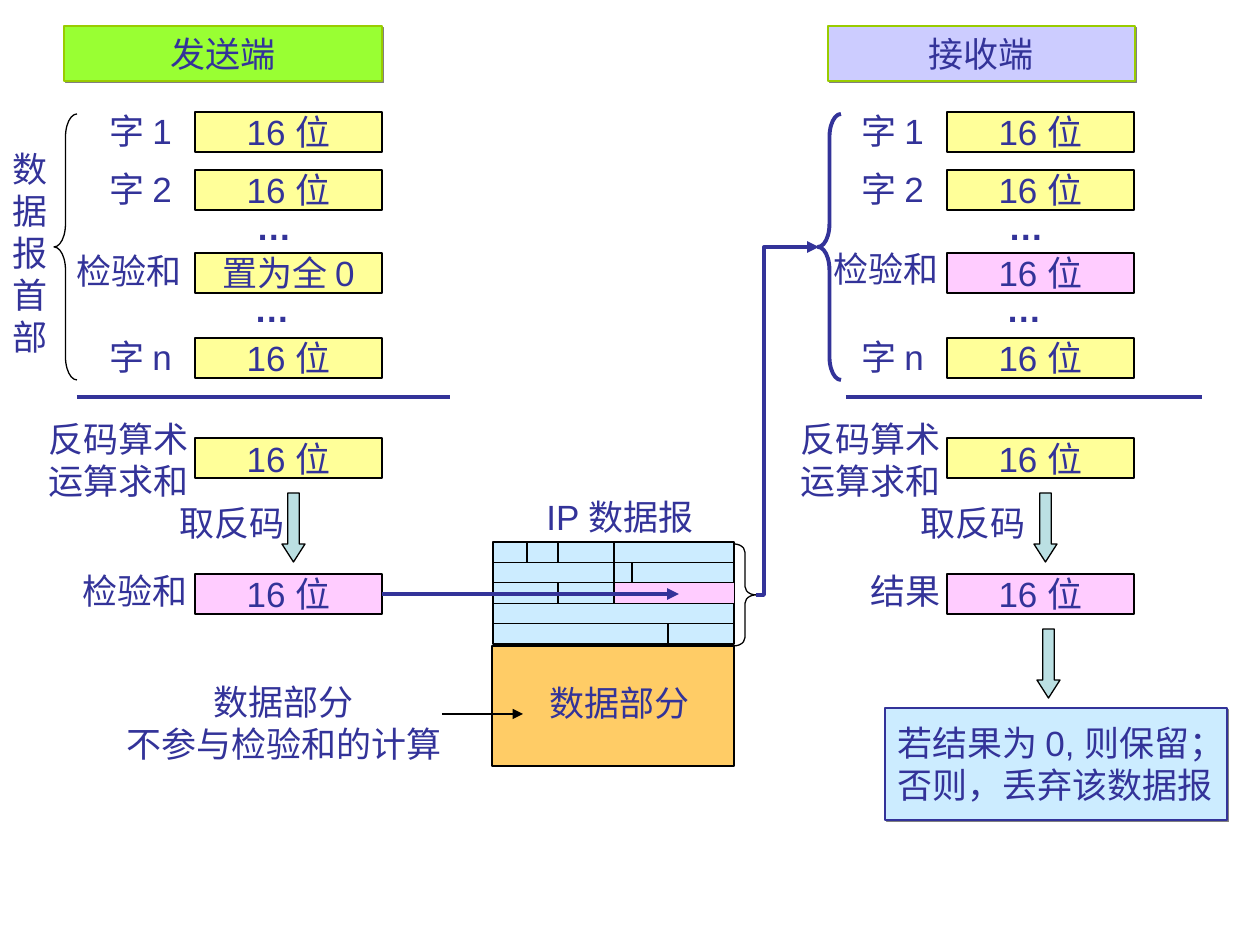
from lxml.etree import SubElement
from pptx import Presentation
from pptx.dml.color import RGBColor
from pptx.enum.shapes import MSO_CONNECTOR, MSO_SHAPE
from pptx.enum.text import MSO_ANCHOR, MSO_AUTO_SIZE, PP_ALIGN
from pptx.oxml.ns import qn
from pptx.util import Pt

SCALE = 914400 / 126
INK, BLACK = "333399", "000000"
YELLOW, PINK, SKY = "FFFF99", "FFCCFF", "CCECFF"


def px(length):
    """Turn px into EMU."""
    return round(length * SCALE)


def color(value):
    """Turn a hex string into a colour."""
    return RGBColor.from_string(value)


def write(shape, text, align=PP_ALIGN.LEFT, anchor=MSO_ANCHOR.TOP, bold=False):
    """Write the lines of text into a shape."""
    frame = shape.text_frame
    frame.word_wrap = False
    frame.vertical_anchor = anchor
    frame.text = text
    for paragraph in frame.paragraphs:
        paragraph.alignment = align
        paragraph.font.name = "Arial"
        paragraph.font.size = Pt(20)
        paragraph.font.bold = bold
        paragraph.font.color.rgb = color(INK)


def add_label(slide, box, text, **style):
    """Add a text box that grows with its text."""
    label = slide.shapes.add_textbox(*map(px, box))
    write(label, text, **style)
    label.text_frame.auto_size = MSO_AUTO_SIZE.SHAPE_TO_FIT_TEXT


def add_block(slide, box, fill, line=BLACK, width=0.75, kind=MSO_SHAPE.RECTANGLE, adjustments=()):
    """Add a preset shape without a shadow; None leaves out the fill or line."""
    shape = slide.shapes.add_shape(kind, *map(px, box))
    shape.shadow.inherit = False
    for position, value in enumerate(adjustments):
        shape.adjustments[position] = value
    if fill:
        shape.fill.solid()
        shape.fill.fore_color.rgb = color(fill)
    else:
        shape.fill.background()
    if line:
        shape.line.color.rgb = color(line)
        shape.line.width = Pt(width)
    else:
        shape.line.fill.background()
    return shape


def add_shadow(shape):
    """Give a shape a hard grey shadow to the lower right."""
    effects = shape._element.spPr.find(qn("a:effectLst"))
    shadow = SubElement(effects, qn("a:outerShdw"), dist="17961", dir="2700000", algn="ctr", rotWithShape="0")
    SubElement(shadow, qn("a:srgbClr"), val="808080")


def add_arrowhead(shape):
    """Put a triangle at the end of a line."""
    SubElement(shape.line._get_or_add_ln(), qn("a:tailEnd"), type="triangle")


def add_line(slide, start, end, line=BLACK, width=0.75, arrow=False):
    """Add a straight line between two points."""
    connector = slide.shapes.add_connector(MSO_CONNECTOR.STRAIGHT, *map(px, start + end))
    connector.line.color.rgb = color(line)
    connector.line.width = Pt(width)
    SubElement(connector._element.spPr, qn("a:effectLst"))
    if arrow:
        add_arrowhead(connector)
    return connector


def add_down_arrow(slide, left, top):
    """Add a block arrow that points down."""
    add_block(slide, (left, top, 23, 69), "BBE0E3", kind=MSO_SHAPE.DOWN_ARROW, adjustments=(0.5, 0.78))


def add_column(slide, left, heading, brace, rule_left, rows, invert_left):
    """Draw one end's checksum steps from left and return its last word box."""
    title, title_left, title_width, title_fill = heading
    shape = add_block(slide, (left + title_left, 26, title_width, 55), title_fill, "99CC00")
    add_shadow(shape)
    write(shape, title, PP_ALIGN.CENTER)

    brace_left, brace_line, brace_width = brace
    add_block(slide, (left + brace_left, 114, 23, 266), None, brace_line, brace_width,
              MSO_SHAPE.LEFT_BRACE, (1, 0.5))

    for top, (label, label_left, label_top, value, fill) in zip((112, 170, 253, 338, 438, 574), rows):
        word = add_block(slide, (left + 195, top, 187, 40), fill)
        write(word, value, PP_ALIGN.CENTER, MSO_ANCHOR.MIDDLE)
        label_height = 55 + 42 * label.count("\n")
        add_label(slide, (left + label_left, label_top, 204 - label_left, label_height), label)

    for dots_left, dots_top in ((244, 199), (242, 281)):
        add_label(slide, (left + dots_left, dots_top, 60, 55), "…", bold=True)
    add_line(slide, (left + rule_left, 397), (left + 450, 397), INK, 2.25)
    add_down_arrow(slide, left + 282, 493)
    add_label(slide, (left + invert_left, 495, 132, 55), "取反码")
    return word


def column_rows(checksum, checksum_label, result):
    """List label, its left and top, value and fill of each word row."""
    word = "16 位"
    return (
        ("字 1", 97, 103, word, YELLOW),
        ("字 2", 97, 161, word, YELLOW),
        ("检验和", *checksum_label, *checksum),
        ("字 n", 97, 329, word, YELLOW),
        ("反码算术\n运算求和", 36, 411, word, YELLOW),
        (*result, 563, word, PINK),
    )


def add_datagram(slide, left, top, width, height):
    """Draw the datagram: header grid, its brace and the data part."""
    row = height / 5
    add_block(slide, (left - 1, top + 104, width + 1, 120), "FFCC66")
    add_label(slide, (left + 44, top + 133, 168, 55), "数据部分")
    add_block(slide, (left, top, width, height), SKY, width=1.5)
    add_block(slide, (left + 121, top + 2 * row, width - 121, row), PINK, None)
    add_label(slide, (left + 41, top - 53, 184, 55), "IP 数据报")
    for number in range(1, 6):
        add_line(slide, (left, top + number * row), (left + width, top + number * row))
    for offset, first, last in ((121, 0, 3), (65, 2, 3), (65, 0, 1), (34, 0, 1), (139, 1, 2), (175, 4, 5)):
        add_line(slide, (left + offset, top + first * row), (left + offset, top + last * row))
    add_block(slide, (left + width, top + 2, 22, height), None,
              kind=MSO_SHAPE.RIGHT_BRACE, adjustments=(0.38, 0.5))


def add_links(slide, checksum_box):
    """Draw the flow from sender to datagram and on to the receiver."""
    arrow = add_line(slide, (382, 594), (679, 594), INK, 2.25, arrow=True)
    arrow.begin_connect(checksum_box, 3)
    builder = slide.shapes.build_freeform(756, 595, scale=SCALE)
    builder.add_line_segments([(764, 595), (764, 247), (819, 247)], close=False)
    route = builder.convert_to_shape()
    route.shadow.inherit = False
    route.fill.background()
    route.line.color.rgb = color(INK)
    route.line.width = Pt(2.25)
    add_arrowhead(route)


def add_verdict(slide, left, top):
    """Draw the arrow to the receiver's decision."""
    add_down_arrow(slide, left + 152, top)
    box = add_block(slide, (left, top + 79, 342, 112), SKY, INK, 1)
    add_shadow(box)
    write(box, "若结果为 0, 则保留；\n否则，丢弃该数据报", anchor=MSO_ANCHOR.MIDDLE)


def add_data_note(slide, left, top):
    """Draw the note on the data part."""
    add_label(slide, (left, top, 348, 97), "数据部分\n不参与检验和的计算", align=PP_ALIGN.CENTER)
    add_line(slide, (left + 332, top + 40), (left + 413, top + 40), arrow=True)


def main():
    """Build the checksum slide."""
    presentation = Presentation()
    presentation.slide_width, presentation.slide_height = px(1260), px(945)
    slide = presentation.slides.add_slide(presentation.slide_layouts[6])
    add_datagram(slide, 493, 542, 241, 102)
    checksum_box = add_column(
        slide, 0, ("发送端", 64, 318, "99FF33"), (54, BLACK, 0.75), 77,
        column_rows(("置为全 0", YELLOW), (64, 243), ("检验和", 70)), 167)
    add_label(slide, (0, 141, 60, 223), "\n".join("数据报首部"))
    add_column(
        slide, 752, ("接收端", 76, 307, "CCCCFF"), (66, INK, 2.25), 94,
        column_rows(("16 位", PINK), (69, 241), ("结果", 106)), 156)
    add_links(slide, checksum_box)
    add_verdict(slide, 885, 629)
    add_data_note(slide, 110, 674)
    presentation.save("out.pptx")


if __name__ == "__main__":
    main()
